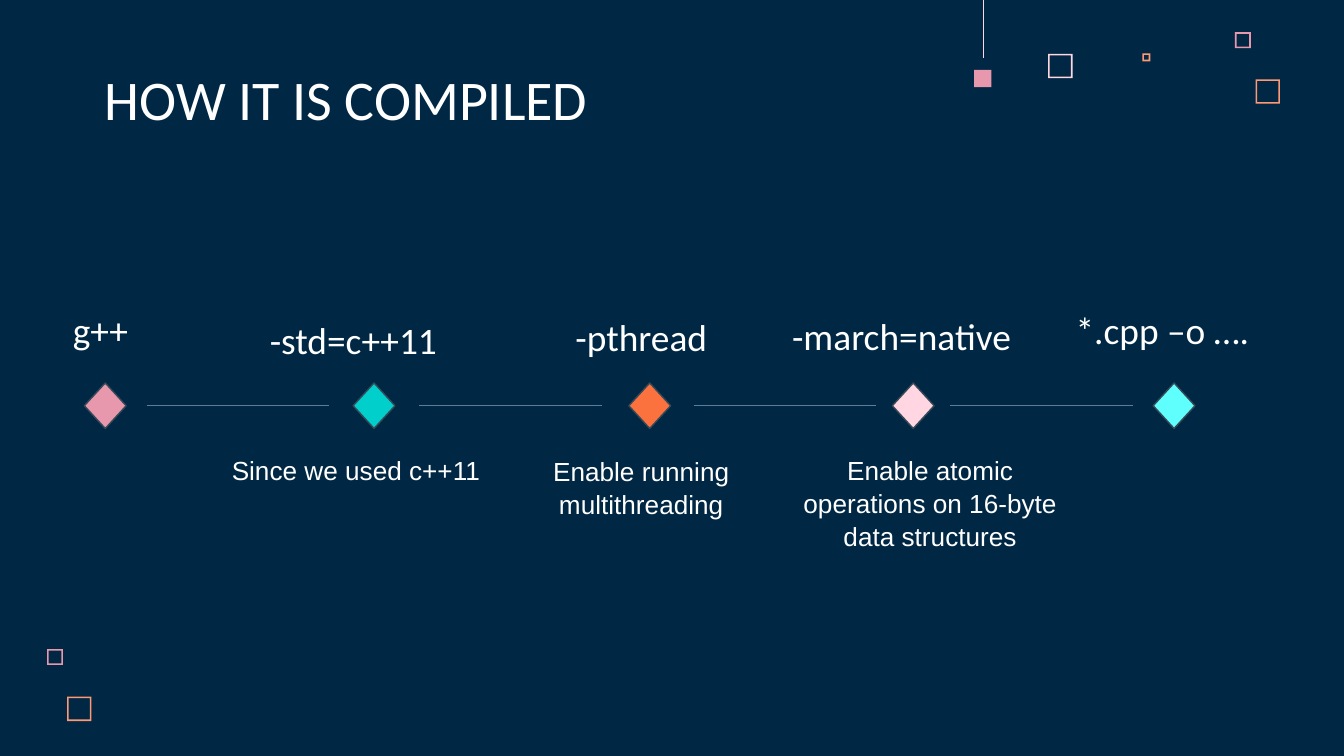
from lxml import etree
from pptx import Presentation
from pptx.dml.color import RGBColor
from pptx.enum.shapes import MSO_CONNECTOR, MSO_SHAPE
from pptx.enum.text import MSO_ANCHOR, MSO_AUTO_SIZE, PP_ALIGN
from pptx.oxml.ns import qn
from pptx.util import Cm, Pt

STRAIGHT = MSO_CONNECTOR.STRAIGHT
DIAMOND, FRAME, SQUARE = MSO_SHAPE.DIAMOND, MSO_SHAPE.FRAME, MSO_SHAPE.RECTANGLE
TOP, BOTTOM = MSO_ANCHOR.TOP, MSO_ANCHOR.BOTTOM
LEFT, CENTER = PP_ALIGN.LEFT, PP_ALIGN.CENTER
NO_AUTOFIT = MSO_AUTO_SIZE.NONE

NAVY = RGBColor(0x00, 0x28, 0x45)
WHITE = RGBColor(0xFF, 0xFF, 0xFF)
ROSE = RGBColor(0xE8, 0x98, 0xAC)
BLUSH = RGBColor(0xFF, 0xD6, 0xE1)
PEACH = RGBColor(0xFF, 0x99, 0x73)
ORANGE = RGBColor(0xFC, 0x72, 0x3F)
TEAL = RGBColor(0x00, 0xCF, 0xCC)
AQUA = RGBColor(0x5E, 0xFF, 0xFD)
SLATE = RGBColor(0x37, 0x49, 0x57)
STEEL = RGBColor(0x5F, 0x7D, 0x95)

HEADING_FONT, BODY_FONT = "Calibri", "Arial"

# Flag, its centre and bottom edge, diamond centre, diamond colour (cm)
FLAGS = [
    ("g++", 1.9, 1.81, 1.99, ROSE),
    ("-std=c++11", 6.68, 1.99, 7.07, TEAL),
    ("-pthread", 12.12, 1.94, 12.28, ORANGE),
    ("-march=native", 17.04, 1.91, 17.26, BLUSH),
    ("*.cpp –o ….", 21.97, 1.81, 22.19, AQUA),
]
# Explanation, centre, top edge, width (cm)
REASONS = [
    ("Since we used c++11", 6.73, 3.21, 5.23),
    ("Enable running multithreading", 12.12, 3.23, 5.23),
    ("Enable atomic operations on 16-byte data structures", 17.58, 3.21, 5.69),
]
LINK_STARTS = [2.77, 7.92, 13.11, 17.96]
LINK_LENGTH = 3.45


def write(shape, text, font, size, align, anchor, spacing=1.0):
    frame = shape.text_frame
    frame.word_wrap = True
    frame.auto_size = NO_AUTOFIT
    frame.vertical_anchor = anchor
    frame.margin_left = frame.margin_right = Cm(0.25)
    frame.margin_top = frame.margin_bottom = Cm(0.25)
    paragraph = frame.paragraphs[0]
    paragraph.alignment = align
    paragraph.line_spacing = spacing
    run = paragraph.add_run()
    run.text = text
    run.font.name, run.font.size = font, Pt(size)
    run.font.color.rgb = WHITE


def add_solid(slide, kind, left, top, width, height, colour):
    shape = slide.shapes.add_shape(kind, Cm(left), Cm(top), Cm(width), Cm(height))
    shape.shadow.inherit = False
    shape.fill.solid()
    shape.fill.fore_color.rgb = colour
    shape.line.fill.background()
    return shape


def add_line(slide, x1, y1, x2, y2, colour, weight):
    line = slide.shapes.add_connector(STRAIGHT, Cm(x1), Cm(y1), Cm(x2), Cm(y2))
    line.line.color.rgb = colour
    line.line.width = Pt(weight)
    etree.SubElement(line._element.spPr, qn("a:effectLst"))


def add_hollow_squares(slide, left, top, squares):
    """Place (x, y, side, colour) squares from the corner given."""
    for x, y, side, colour in squares:
        square = add_solid(slide, FRAME, left + x, top + y, side, side, colour)
        square.adjustments[0] = 0.03 / side


def add_top_ornament(slide, left, top):
    add_hollow_squares(slide, left, top, [
        (1.4, 1.02, 0.46, BLUSH),
        (4.93, 0.61, 0.3, ROSE),
        (3.18, 1.01, 0.15, PEACH),
        (5.32, 1.5, 0.46, PEACH),
    ])
    add_solid(slide, SQUARE, left, top + 1.32, 0.33, 0.33, ROSE)
    add_line(slide, left + 0.18, top, left + 0.18, top + 1.09, BLUSH, 0.5)


def add_bottom_ornament(slide, left, top):
    add_hollow_squares(slide, left, top, [
        (0, 0, 0.3, ROSE),
        (0.38, 0.9, 0.46, PEACH),
    ])


def add_title(slide, left, top, width, height):
    title = slide.shapes.title
    title.left, title.top = Cm(left), Cm(top)
    title.width, title.height = Cm(width), Cm(height)
    write(title, "HOW IT IS COMPILED", HEADING_FONT, 30, LEFT, BOTTOM)


def add_caption(slide, text, centre, top, width, height, *style):
    box = slide.shapes.add_textbox(
        Cm(centre - width / 2), Cm(top), Cm(width), Cm(height))
    write(box, text, *style)


def add_timeline(slide, left, top):
    """Draw compiler flags above a row of diamonds, with reasons below."""
    axis = top + 2.57
    marker_width, marker_height = 0.79, 0.86
    flag_height = 1.8
    for start in LINK_STARTS:
        x = left + start
        add_line(slide, x, axis, x + LINK_LENGTH, axis, STEEL, 0.75)
    for flag, centre, bottom, marker, colour in FLAGS:
        diamond = add_solid(slide, DIAMOND, left + marker - marker_width / 2,
                            axis - marker_height / 2, marker_width,
                            marker_height, colour)
        diamond.line.color.rgb = SLATE
        diamond.line.width = Pt(0.75)
        add_caption(slide, flag, left + centre, top + bottom - flag_height,
                    5.23, flag_height, HEADING_FONT, 20, CENTER, BOTTOM)
    for reason, centre, reason_top, width in REASONS:
        add_caption(slide, reason, left + centre, top + reason_top, width, 3.1,
                    BODY_FONT, 14, CENTER, TOP, 1.05)


def main():
    deck = Presentation()
    deck.slide_width, deck.slide_height = Cm(25.4), Cm(14.29)
    slide = deck.slides.add_slide(deck.slide_layouts[5])
    slide.background.fill.solid()
    slide.background.fill.fore_color.rgb = NAVY
    add_top_ornament(slide, 18.41, 0)
    add_bottom_ornament(slide, 0.89, 12.27)
    add_title(slide, 1.73, 1.14, 13.13, 1.6)
    add_timeline(slide, 0, 5.1)
    deck.save("out.pptx")


if __name__ == "__main__":
    main()
